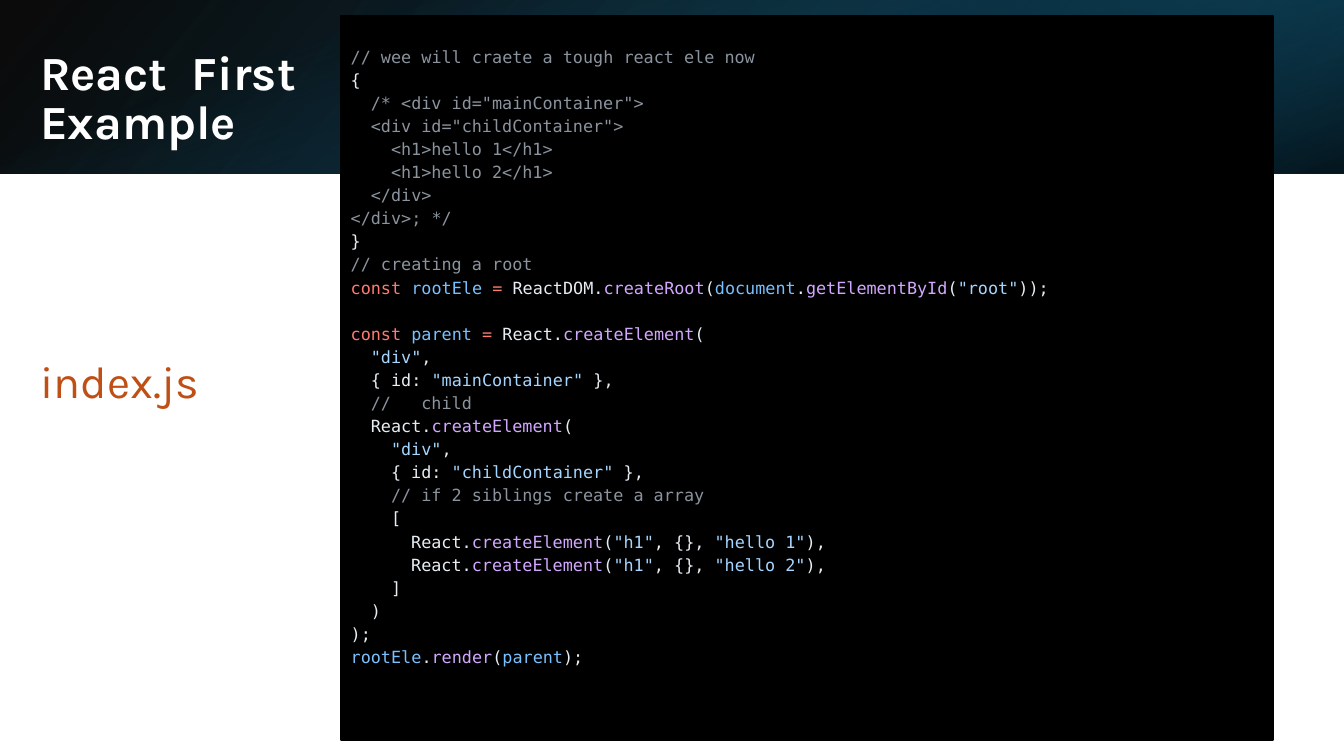
from pptx import Presentation
from pptx.dml.color import RGBColor
from pptx.enum.shapes import MSO_SHAPE
from pptx.enum.text import MSO_ANCHOR, PP_ALIGN
from pptx.oxml.ns import qn
from pptx.oxml.xmlchemy import OxmlElement
from pptx.util import Pt

EMU_PER_PX = 9144
SLIDE_WIDTH, SLIDE_HEIGHT = 1333, 750
HEADER_HEIGHT = 172
INDENT_STEP = 20
LINE_PITCH = 16.5

PLAIN, COMMENT, KEYWORD = "E6EDF3", "8B949E", "FF7B72"
NAME, FUNCTION, STRING = "79C0FF", "D2A8FF", "A5D6FF"


def px(length):
    """Turn px into EMU."""
    return round(length * EMU_PER_PX)


def color(hex_string):
    """Turn a hex string into a colour."""
    return RGBColor.from_string(hex_string)


def comment(text):
    """Return the runs of a comment line."""
    return [(text, COMMENT)]


def plain(text):
    """Return the runs of an uncoloured line."""
    return [(text, PLAIN)]


def declaration(name):
    """Return the runs that open a constant declaration."""
    return [("const ", KEYWORD), (name + " ", NAME), ("= ", KEYWORD)]


def create_element():
    """Return the runs that open a createElement call."""
    return [("React.", PLAIN), ("createElement", FUNCTION), ("(", PLAIN)]


def argument(value, before="", after=","):
    """Return the runs of a string with plain text around it."""
    runs = [(before, PLAIN), (f'"{value}"', STRING), (after, PLAIN)]
    return [run for run in runs if run[0]]


def heading(text):
    """Return the runs of a createElement call for an h1."""
    return create_element() + argument("h1", after=", {}, ") + argument(text, after="),")


CODE_LINES = [
    (0, comment("// wee will craete a tough react ele now")),
    (0, plain("{")),
    (1, comment('/* <div id="mainContainer">')),
    (1, comment('<div id="childContainer">')),
    (2, comment("<h1>hello 1</h1>")),
    (2, comment("<h1>hello 2</h1>")),
    (1, comment("</div>")),
    (0, comment("</div>; */")),
    (0, plain("}")),
    (0, comment("// creating a root")),
    (0, declaration("rootEle") + [
        ("ReactDOM.", PLAIN), ("createRoot", FUNCTION), ("(", PLAIN),
        ("document", NAME), (".", PLAIN), ("getElementById", FUNCTION),
    ] + argument("root", "(", "));")),
    (0, declaration("parent") + create_element()),
    (1, argument("div")),
    (1, argument("mainContainer", "{ id: ", " },")),
    (1, comment("//   child")),
    (1, create_element()),
    (2, argument("div")),
    (2, argument("childContainer", "{ id: ", " },")),
    (2, comment("// if 2 siblings create a array")),
    (2, plain("[")),
    (3, heading("hello 1")),
    (3, heading("hello 2")),
    (2, plain("]")),
    (1, plain(")")),
    (0, plain(");")),
    (0, [("rootEle", NAME), (".", PLAIN), ("render", FUNCTION), ("(", PLAIN),
         ("parent", NAME), (");", PLAIN)]),
]
LINE_AFTER_GAP = 11


def add_run(paragraph, text, *, size, font, fill, bold=False):
    """Add one formatted run to a paragraph."""
    run = paragraph.add_run()
    run.text = text
    run.font.size = Pt(size)
    run.font.name = font
    run.font.bold = bold
    run.font.color.rgb = color(fill)


def add_rectangle(slide, left, top, width, height):
    """Add a rectangle without line or shadow."""
    shape = slide.shapes.add_shape(
        MSO_SHAPE.RECTANGLE, px(left), px(top), px(width), px(height))
    shape.shadow.inherit = False
    shape.line.fill.background()
    return shape


def add_gradient(slide, left, top, width, height, *, stops, angle, rotation=0, flip=False):
    """Add a gradient band that covers the given box after its rotation."""
    if rotation % 180 == 90:
        shift = (width - height) / 2
        left, top, width, height = left + shift, top - shift, height, width
    shape = add_rectangle(slide, left, top, width, height)
    shape.rotation = rotation
    if flip:
        shape._element.spPr.find(qn("a:xfrm")).set("flipH", "1")
    shape.fill.gradient()
    shape.fill.gradient_angle = 360 - angle
    for stop, (position, fill, _) in zip(shape.fill.gradient_stops, stops):
        stop.position = position / 100
        stop.color.rgb = color(fill)
    stop_colors = shape._element.spPr.iter(qn("a:srgbClr"))
    for stop_color, (_, _, opacity) in zip(stop_colors, stops):
        alpha = OxmlElement("a:alpha")
        alpha.set("val", str(opacity * 1000))
        stop_color.append(alpha)


def add_header(slide, left, top, width, height):
    """Lay the three gradient layers of the header band."""
    add_gradient(slide, left, top, width, height, angle=140, flip=True,
                 stops=[(0, "000000", 96), (100, "104862", 100 - 0)])
    third = width / 3
    add_gradient(slide, left + width - third, top, third, height, angle=320,
                 rotation=180, flip=True,
                 stops=[(19, "0B3041", 68), (100, "156082", 79)])
    add_gradient(slide, left, top, width, height, angle=340, rotation=90,
                 stops=[(23, "156082", 0), (99, "000000", 74)])


def add_label(slide, left, top, width, height, lines, *, size, fill, bold=False,
              anchor=MSO_ANCHOR.TOP, spacing=None, after=0):
    """Add a text box with one paragraph per line."""
    box = slide.shapes.add_textbox(px(left), px(top), px(width), px(height))
    frame = box.text_frame
    frame.word_wrap = True
    frame.vertical_anchor = anchor
    for index, line in enumerate(lines):
        paragraph = frame.add_paragraph() if index else frame.paragraphs[0]
        paragraph.line_spacing = spacing
        paragraph.space_after = Pt(after)
        add_run(paragraph, line, size=size, font="Karla", fill=fill, bold=bold)


def add_code_panel(slide, left, top, width, height):
    """Add the black panel with the highlighted code."""
    panel = add_rectangle(slide, left, top, width, height)
    panel.fill.solid()
    panel.fill.fore_color.rgb = color("000000")
    panel.line.color.rgb = color("000000")
    panel.line.width = Pt(1.5)
    frame = panel.text_frame
    frame.word_wrap = True
    frame.vertical_anchor = MSO_ANCHOR.TOP
    frame.margin_left = frame.margin_right = px(10)
    frame.margin_top = px(27)
    for index, (level, runs) in enumerate(CODE_LINES):
        paragraph = frame.add_paragraph() if index else frame.paragraphs[0]
        paragraph.alignment = PP_ALIGN.LEFT
        paragraph.line_spacing = Pt(LINE_PITCH)
        paragraph.space_before = Pt(LINE_PITCH if index == LINE_AFTER_GAP else 0)
        properties = paragraph._p.get_or_add_pPr()
        properties.set("marL", str(px(level * INDENT_STEP)))
        properties.set("indent", "0")
        for text, fill in runs:
            add_run(paragraph, text, size=12, font="DejaVu Sans Mono", fill=fill)


def main():
    """Build and save the slide."""
    presentation = Presentation()
    presentation.slide_width = px(SLIDE_WIDTH)
    presentation.slide_height = px(SLIDE_HEIGHT)
    slide = presentation.slides.add_slide(presentation.slide_layouts[6])
    add_header(slide, 0, 0, SLIDE_WIDTH, HEADER_HEIGHT)
    add_label(slide, 30, 48, 347, 108, ["React  First", "Example"], size=34,
              fill="FFFFFF", bold=True, anchor=MSO_ANCHOR.MIDDLE, spacing=0.7, after=6)
    add_code_panel(slide, 338, 16, 925, 718)
    add_label(slide, 30, 346, 258, 64, ["index.js"], size=32, fill="C04F15")
    presentation.save("out.pptx")


if __name__ == "__main__":
    main()
